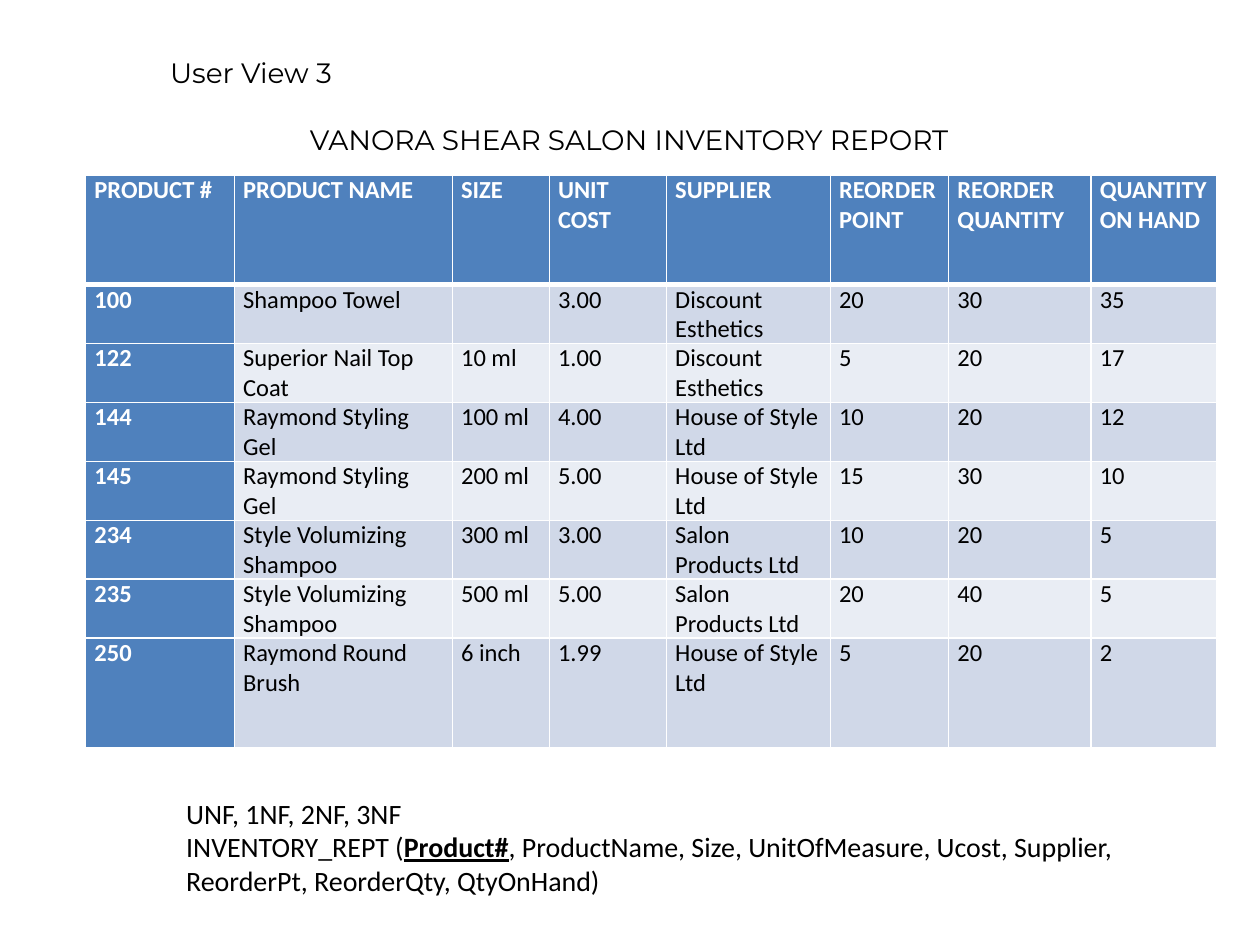
"""Build the inventory report slide of User View 3."""
import pptx
import pptx.dml.color
import pptx.oxml
import pptx.oxml.ns
import pptx.util

Inches = pptx.util.Inches
Pt = pptx.util.Pt

COLUMN_WIDTHS = [1.18, 1.73, 0.77, 0.93, 1.3, 0.94, 1.13, 1]
ROW_HEIGHTS = [0.87] + [0.43] * 6 + [0.87]
INVENTORY = [
    ["PRODUCT #", "PRODUCT NAME", "SIZE", "UNIT COST", "SUPPLIER",
     "REORDER POINT", "REORDER QUANTITY", "QUANTITY ON HAND"],
    ["100", "Shampoo Towel", "", "3.00", "Discount Esthetics", "20", "30", "35"],
    ["122", "Superior Nail Top Coat", "10 ml", "1.00", "Discount Esthetics", "5", "20", "17"],
    ["144", "Raymond Styling Gel", "100 ml", "4.00", "House of Style Ltd", "10", "20", "12"],
    ["145", "Raymond Styling Gel", "200 ml", "5.00", "House of Style Ltd", "15", "30", "10"],
    ["234", "Style Volumizing Shampoo", "300 ml", "3.00", "Salon Products Ltd", "10", "20", "5"],
    ["235", "Style Volumizing Shampoo", "500 ml", "5.00", "Salon Products Ltd", "20", "40", "5"],
    ["250", "Raymond Round Brush", "6 inch", "1.99", "House of Style Ltd", "5", "20", "2"],
]


def color(value):
    return pptx.dml.color.RGBColor.from_string(value)


def apply(target, values):
    for name, value in values.items():
        setattr(target, name, value)


class SlideBuilder:
    black, white, blue = "000000", "FFFFFF", "4F81BD"
    bands = ["E9EDF4", "D0D8E8"]

    def __init__(self, presentation):
        self.slide = presentation.slides.add_slide(presentation.slide_layouts[6])

    def add_run(self, paragraph, text, font_color, **font):
        run = paragraph.add_run()
        run.text = text
        apply(run.font, font)
        run.font.color.rgb = color(font_color)

    def add_text(self, position, paragraphs, font, margins):
        shape = self.slide.shapes.add_textbox(*map(Inches, position))
        frame = shape.text_frame
        apply(frame, {"word_wrap": True, **margins})
        for index, (runs, indent, space) in enumerate(paragraphs):
            paragraph = frame.add_paragraph() if index else frame.paragraphs[0]
            paragraph.space_before = Pt(space)
            paragraph._p.get_or_add_pPr().set("indent", str(Inches(indent)))
            for text, emphasis in runs:
                self.add_run(paragraph, text, self.black, **font, **emphasis)

    def add_border(self, cell, side, width):
        line = pptx.oxml.parse_xml(
            f'<a:{side} {pptx.oxml.ns.nsdecls("a")} w="{Pt(width)}"><a:solidFill>'
            f'<a:srgbClr val="{self.white}"/></a:solidFill></a:{side}>')
        cell._tc.get_or_add_tcPr().append(line)

    def fill_cell(self, cell, text, row, column):
        heading = row == 0 or column == 0
        apply(cell, {"margin_left": Inches(0.07), "margin_right": Inches(0.07),
                     "margin_top": 0, "margin_bottom": 0})
        widths = {"lnL": 1, "lnR": 1, "lnT": 3 if row == 1 else 1, "lnB": 3 if row == 0 else 1}
        for side, width in widths.items():
            self.add_border(cell, side, width)
        cell.fill.solid()
        cell.fill.fore_color.rgb = color(self.blue if heading else self.bands[row % 2])
        if text:
            self.add_run(cell.text_frame.paragraphs[0], text,
                         self.white if heading else self.black,
                         name="Calibri", size=Pt(14), bold=heading)

    def add_table(self, position, rows, widths, heights):
        shape = self.slide.shapes.add_table(len(rows), len(widths), *map(Inches, position))
        table = shape.table
        table.first_col = True
        for column, width in zip(table.columns, widths):
            column.width = Inches(width)
        for row, height in zip(table.rows, heights):
            row.height = Inches(height)
        for row, values in enumerate(rows):
            for column, text in enumerate(values):
                self.fill_cell(table.cell(row, column), text, row, column)


def main():
    presentation = pptx.Presentation()
    apply(presentation, {"slide_width": Inches(10), "slide_height": Inches(7.5)})
    builder = SlideBuilder(presentation)
    builder.add_text(
        (1.38, 6.27, 7.96, 1.02),
        [([("UNF, 1NF, 2NF, 3NF", {})], 0, 0),
         ([("INVENTORY_REPT (", {}),
           ("Product#", {"bold": True, "underline": True}),
           (", ProductName, Size, UnitOfMeasure, Ucost, Supplier, "
            "ReorderPt, ReorderQty, QtyOnHand)", {})], 0, 0)],
        {"name": "Calibri", "size": Pt(16)}, {})
    builder.add_table((0.68, 1.39, 8.98, 4.53), INVENTORY, COLUMN_WIDTHS, ROW_HEIGHTS)
    builder.add_text(
        (0.35, 0.36, 7.59, 1.25),
        [([("User View 3", {})], 0.5, 0),
         ([("VANORA SHEAR SALON INVENTORY REPORT", {})], 1.61, 19)],
        {"name": "Montserrat", "size": Pt(16)},
        {"margin_left": Inches(0.5), "margin_top": Inches(0.08)})
    presentation.save("out.pptx")


if __name__ == "__main__":
    main()
